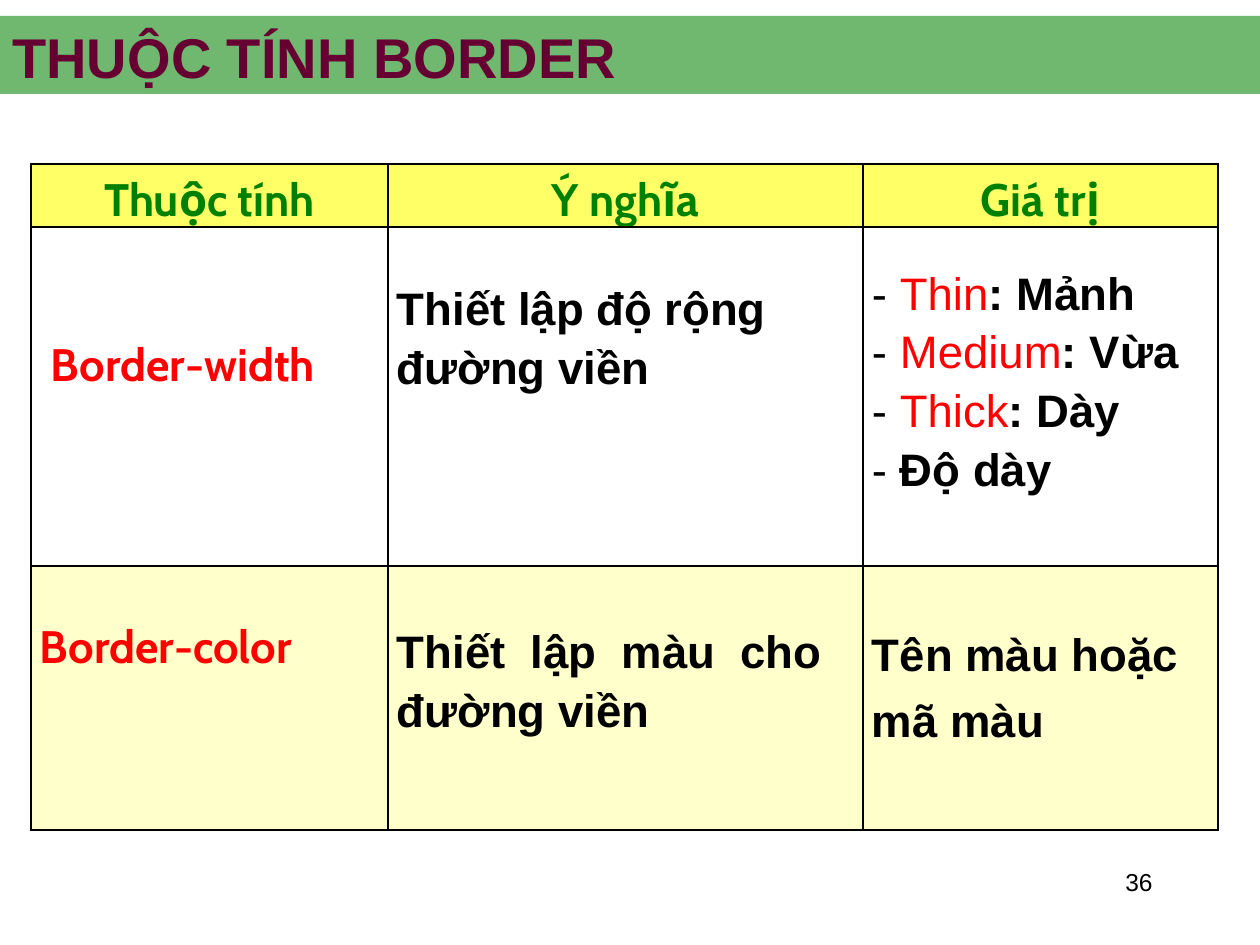
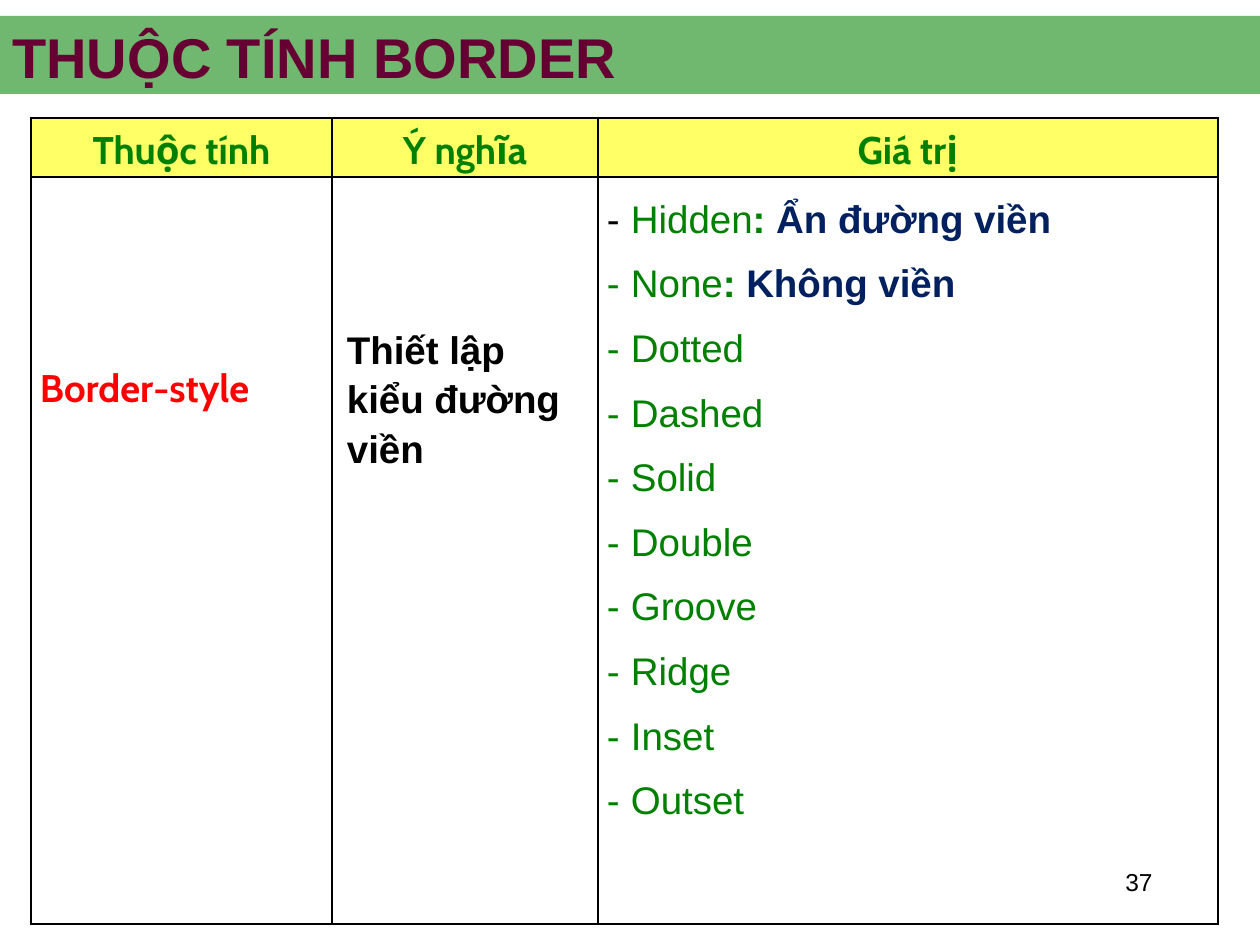
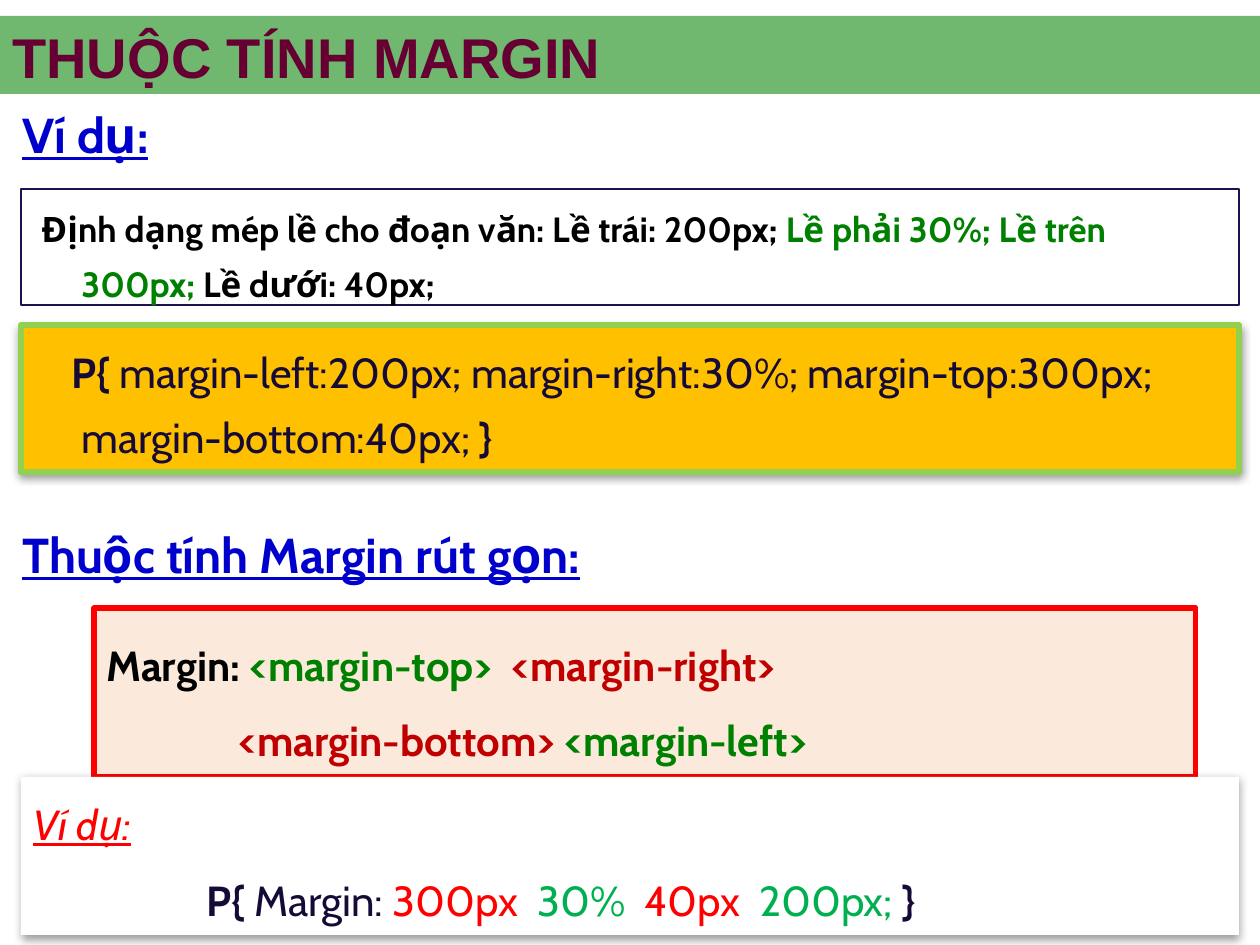
import pptx
import pptx.util
import pptx.dml.color
import pptx.enum.shapes
import pptx.enum.text
import pptx.oxml.ns
from lxml import etree

PX = 914400 // 126
INK = dict(
    black="000000", white="FFFFFF", green="008000", plum="660033",
    red="FF0000", wine="C00000", navy="002060", night="160B37",
    blue="0000CC", leaf="00B050", head="FFFF66", cream="FFFFCC",
    amber="FFC000", lime="92D050", peach="FBEADB", edge="201053",
)
ALIGN = dict(
    l=pptx.enum.text.PP_ALIGN.LEFT, c=pptx.enum.text.PP_ALIGN.CENTER,
    r=pptx.enum.text.PP_ALIGN.RIGHT, j=pptx.enum.text.PP_ALIGN.JUSTIFY,
)
TOP = pptx.enum.text.MSO_ANCHOR.TOP
MID = pptx.enum.text.MSO_ANCHOR.MIDDLE
RECT = pptx.enum.shapes.MSO_SHAPE.RECTANGLE


def px(*sizes):
    return [size * PX for size in sizes]


def rgb(name):
    return pptx.dml.color.RGBColor.from_string(INK[name])


def node(parent, tag, **attrs):
    child = etree.SubElement(parent, pptx.oxml.ns.qn(tag))
    for key, value in attrs.items():
        child.set(key, str(value))
    return child


def tint(parent, color, alpha=None):
    clr = node(parent, "a:srgbClr", val=INK[color])
    if alpha:
        node(clr, "a:alpha", val=alpha * 1000)


# Text: a line is a list of runs, a run is (text, format)
def write(frame, lines, align="l", space=1, before=0, left=0, first=0,
          dash=None, **base):
    frame.word_wrap = True
    for i, line in enumerate(lines):
        para = frame.add_paragraph() if i else frame.paragraphs[0]
        para.alignment = ALIGN[align]
        para.line_spacing = space
        para.space_before = pptx.util.Pt(before)
        props = para._p.get_or_add_pPr()
        props.set("marL", str(left * PX))
        props.set("indent", str(first * PX))
        if dash:
            tint(node(props, "a:buClr"), dash)
            node(props, "a:buFont", typeface="Arial")
            node(props, "a:buChar", char="-")
        for text, own in [(line, {})] if isinstance(line, str) else line:
            look = dict(size=20, font="Cabin", color="black", bold=False,
                        italic=False, under=False) | base | own
            run = para.add_run()
            run.text = text
            run.font.size = pptx.util.Pt(look["size"])
            run.font.name = look["font"]
            run.font.color.rgb = rgb(look["color"])
            run.font.bold = look["bold"]
            run.font.italic = look["italic"]
            run.font.underline = look["under"]


def label(slide, box, lines, anchor=TOP, **fmt):
    frame = slide.shapes.add_textbox(*px(*box)).text_frame
    write(frame, lines, **fmt)
    frame.vertical_anchor = anchor


def panel(slide, box, fill=None, line=None, width=1, shade=False, alpha=None):
    shape = slide.shapes.add_shape(RECT, *px(*box))
    shape.shadow.inherit = False
    if fill:
        shape.fill.solid()
        shape.fill.fore_color.rgb = rgb(fill)
        if alpha:
            clr = shape.fill._xPr.find(".//" + pptx.oxml.ns.qn("a:srgbClr"))
            node(clr, "a:alpha", val=alpha * 1000)
    else:
        shape.fill.background()
    if line:
        shape.line.color.rgb = rgb(line)
        shape.line.width = pptx.util.Pt(width)
    else:
        shape.line.fill.background()
    if shade:
        effects = shape._element.spPr.find(pptx.oxml.ns.qn("a:effectLst"))
        cast = node(effects, "a:outerShdw", blurRad=63500, dist=20320,
                    dir=5400000, rotWithShape=0)
        tint(cast, "black", 38)
    shape.text_frame.vertical_anchor = TOP
    return shape.text_frame


# Shared parts: title band and page number
def start(deck, title, page=None):
    slide = deck.slides.add_slide(deck.slide_layouts[6])
    if page:
        label(slide, (903, 861, 262, 63), [page], align="r", size=14, font="Arial")
    panel(slide, (0, 16, 1260, 78), "green", alpha=56)
    label(slide, (0, 30, 1260, 53), [title], anchor=MID,
          size=32, font="Arial", color="plum", bold=True)
    return slide


# Table cells
def cell(spot, lines, fill=None, top=0, left=9, right=9, anchor=TOP, **fmt):
    props = spot._tc.get_or_add_tcPr()
    for side in "LRTB":
        edge = node(props, "a:ln" + side, w=12700)
        tint(node(edge, "a:solidFill"), "black")
    if fill:
        spot.fill.solid()
        spot.fill.fore_color.rgb = rgb(fill)
    else:
        spot.fill.background()
    spot.margin_left, spot.margin_right = px(left, right)
    spot.margin_top, spot.margin_bottom = px(top, 0)
    spot.vertical_anchor = anchor
    write(spot.text_frame, lines, **fmt)


def grid(slide, x, y, cols, rows, size):
    box = px(x, y, sum(cols), sum(rows))
    table = slide.shapes.add_table(len(rows), len(cols), *box).table
    table.first_row = table.horz_banding = False
    for part, sizes in ((table.columns, cols), (table.rows, rows)):
        for item, length in zip(part, px(*sizes)):
            if part is table.columns:
                item.width = length
            else:
                item.height = length
    for i, name in enumerate(("Thuộc tính", "Ý nghĩa", "Giá trị")):
        cell(table.cell(0, i), [name], "head", anchor=MID, align="c",
             space=1.15, size=size, color="green", bold=True)
    return table


def width_color(deck):
    slide = start(deck, "THUỘC TÍNH BORDER", "36")
    table = grid(slide, 31, 164, (357, 475, 355), (63, 339, 264), 26)
    name = dict(size=26, color="red", bold=True)
    body = dict(size=26, font="Arial", bold=True)
    cell(table.cell(1, 0), ["Border-width"], top=111, left=20, **name)
    cell(table.cell(1, 1), ["Thiết lập độ rộng đường viền"], top=50,
         space=1.15, **body)
    pairs = (("Thin", "Mảnh"), ("Medium", "Vừa"), ("Thick", "Dày"))
    values = [[(word, dict(color="red", bold=False)), (": " + sense, {})]
              for word, sense in pairs]
    spot = table.cell(1, 2)
    cell(spot, values + ["Độ dày"], top=42, before=4.5, left=9, dash="black",
         **body)
    for para in spot.text_frame.paragraphs:
        props = para._p.get_or_add_pPr()
        props.set("marL", str(28 * PX))
        props.set("indent", str(-28 * PX))
    cell(table.cell(2, 0), ["Border-color"], "cream", top=54, **name)
    cell(table.cell(2, 1), ["Thiết lập màu cho đường viền"], "cream", top=54,
         right=41, align="j", space=1.15, **body)
    cell(table.cell(2, 2), ["Tên màu hoặc mã màu"], "cream", top=49,
         space=1.3, **body)


def style(deck):
    slide = start(deck, "THUỘC TÍNH BORDER", "37")
    table = grid(slide, 31, 118, (301, 266, 620), (59, 747), 22)
    cell(table.cell(1, 0), ["Border-style"], top=188, size=22, color="red",
         bold=True)
    cell(table.cell(1, 1), ["Thiết lập kiểu đường viền"], top=146, left=15,
         right=15, space=1.15, size=22, font="Arial", bold=True)
    pairs = (("Hidden", "Ẩn đường viền"), ("None", "Không viền"))
    values = [[(word, {}), (": ", dict(bold=True)),
               (sense, dict(color="navy", bold=True))] for word, sense in pairs]
    values += ["Dotted", "Dashed", "Solid", "Double", "Groove", "Ridge",
               "Inset", "Outset"]
    spot = table.cell(1, 2)
    cell(spot, values, space=1.5, dash="green", size=22, font="Arial",
         color="green")
    for i, para in enumerate(spot.text_frame.paragraphs):
        props = para._p.get_or_add_pPr()
        props.set("marL", str(24 * PX))
        props.set("indent", str(-24 * PX))
        if i == 0:
            dot = props.find(".//" + pptx.oxml.ns.qn("a:srgbClr"))
            dot.set("val", INK["black"])


def margin(deck):
    slide = start(deck, "THUỘC TÍNH MARGIN")
    green, red, leaf = (dict(color=c) for c in ("green", "red", "leaf"))
    wine, bold = dict(color="wine"), dict(bold=True)

    # Example and its rule
    task = panel(slide, (21, 189, 1218, 116), line="edge", width=0.75)
    write(task, [[("Định dạng mép lề cho đoạn văn: Lề trái: 200px; ", {}),
                  ("Lề phải 30%; Lề trên 300px; ", green),
                  ("Lề dưới: 40px;", {})]],
          left=48, first=-40, space=1.3, bold=True)
    rule = panel(slide, (21, 325, 1218, 147), "amber", "lime", 3, shade=True)
    write(rule, [[("P{ ", bold),
                  ("margin-left:200px; margin-right:30%; margin-top:300px; "
                   "margin-bottom:40px; ", {}),
                  ("}", bold)]],
          left=48, first=-10, space=1.3, size=24, color="night")

    # Headings
    for y, text in ((105, "Ví dụ:"), (525, "Thuộc tính Margin rút gọn:")):
        label(slide, (10, y, 1239, 84), [text], space=0.9, size=28,
              color="blue", bold=True, under=True)

    # Short form and its example
    short = panel(slide, (94, 608, 1102, 169), "peach", "red", 3)
    write(short, [[("Margin: ", {}), ("<margin-top> ", green),
                   (" <margin-right>", wine)],
                  [("<margin-bottom> ", wine), ("<margin-left>", green)]],
          space=1.5, size=24, bold=True)
    short.paragraphs[1]._p.get_or_add_pPr().set("marL", str(132 * PX))
    sample = panel(slide, (21, 777, 1218, 158), "white", shade=True)
    write(sample, [[("Ví dụ:", dict(color="red", italic=True, under=True))],
                   [("P{ ", bold), ("Margin: ", {}), ("300px  ", red),
                    ("30%  ", leaf), ("40px  ", red), ("200px; ", leaf),
                    ("}", bold)]],
          space=1.3, before=6, size=24, color="night")
    sample.paragraphs[0].space_before = 0
    sample.paragraphs[1]._p.get_or_add_pPr().set("marL", str(173 * PX))


def main():
    deck = pptx.Presentation()
    deck.slide_width, deck.slide_height = px(1260, 945)
    for build in (width_color, style, margin):
        build(deck)
    deck.save("out.pptx")


if __name__ == "__main__":
    main()
